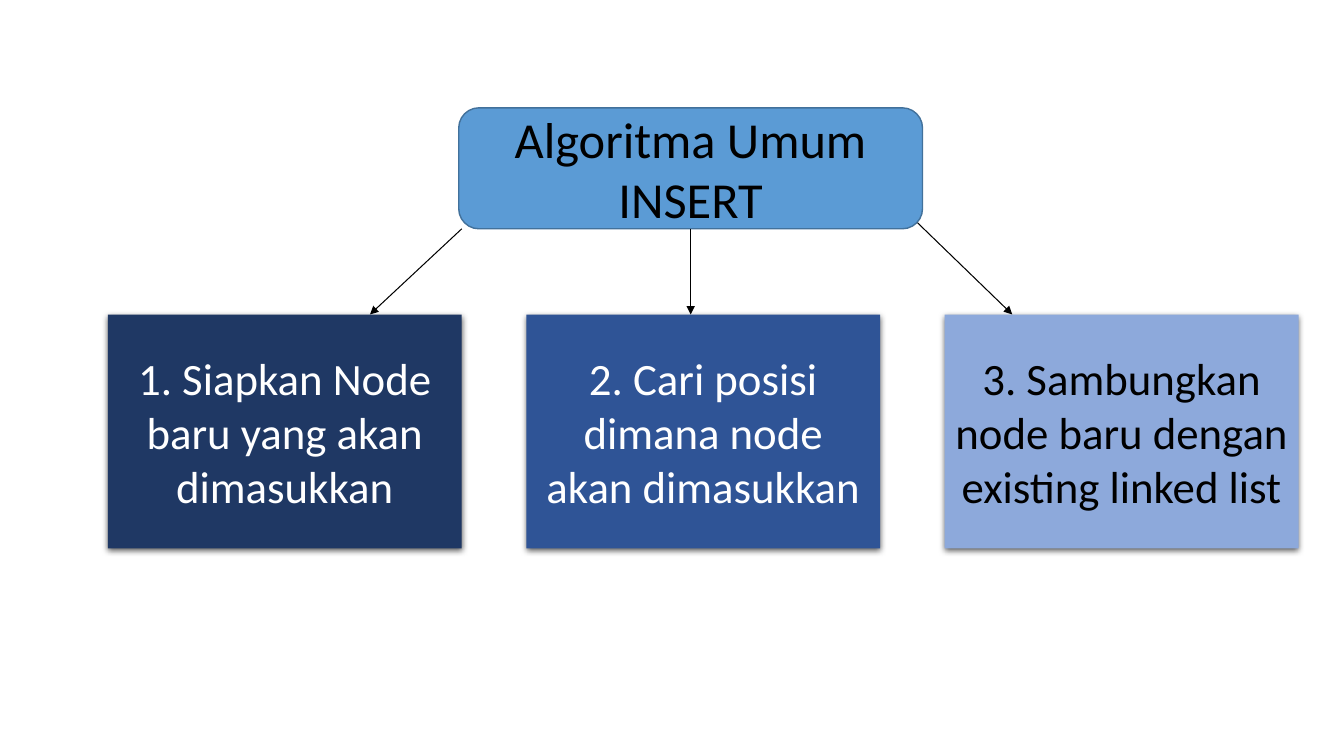
from lxml.etree import SubElement
from pptx import Presentation
from pptx.dml.color import RGBColor
from pptx.enum.shapes import MSO_CONNECTOR, MSO_SHAPE
from pptx.enum.text import MSO_ANCHOR, PP_ALIGN
from pptx.oxml.ns import qn
from pptx.util import Inches, Pt

NAVY = RGBColor(0x1F, 0x38, 0x64)
BLUE = RGBColor(0x2F, 0x54, 0x96)
PALE_BLUE = RGBColor(0x8D, 0xA9, 0xDB)
SKY = RGBColor(0x5B, 0x9B, 0xD5)
SKY_EDGE = RGBColor(0x42, 0x71, 0x9B)
WHITE = RGBColor(0xFF, 0xFF, 0xFF)
BLACK = RGBColor(0, 0, 0)

# Step row grid, in inches
STEP_LEFT, STEP_TOP = 1.07, 3.12
STEP_W, STEP_H = 3.51, 2.32
STEP_PITCH = 4.15

# Header box, in inches
HEAD_LEFT, HEAD_TOP = 4.55, 1.07
HEAD_W, HEAD_H = 4.6, 1.2
HEAD_BOTTOM = HEAD_TOP + HEAD_H
HEAD_MID = HEAD_LEFT + HEAD_W / 2

STEPS = [
    ("1. Siapkan Node baru yang akan dimasukkan", NAVY, WHITE),
    ("2. Cari posisi dimana node akan dimasukkan", BLUE, WHITE),
    ("3. Sambungkan node baru dengan existing linked list", PALE_BLUE, BLACK),
]


def add_box(s, kind, box, text, size, fill, color):
    sp = s.shapes.add_shape(kind, *(Inches(v) for v in box))
    sp.shadow.inherit = False
    sp.fill.solid()
    sp.fill.fore_color.rgb = fill
    tf = sp.text_frame
    tf.word_wrap = True
    tf.vertical_anchor = MSO_ANCHOR.MIDDLE
    p = tf.paragraphs[0]
    p.text = text
    p.alignment = PP_ALIGN.CENTER
    p.font.name = "Calibri"
    p.font.size = Pt(size)
    p.font.color.rgb = color
    return sp


def add_drop_shadow(sp):
    effects = sp._element.spPr.find(qn("a:effectLst"))
    shadow = SubElement(effects, qn("a:outerShdw"), blurRad=str(Pt(4.5)),
                        dist=str(Pt(1.5)), dir="5400000", algn="ctr", rotWithShape="0")
    color = SubElement(shadow, qn("a:srgbClr"), val=str(BLACK))
    SubElement(color, qn("a:alpha"), val="63000")


def add_step(s, column, text, fill, color):
    box = (STEP_LEFT + column * STEP_PITCH, STEP_TOP, STEP_W, STEP_H)
    sp = add_box(s, MSO_SHAPE.RECTANGLE, box, text, 32, fill, color)
    sp.line.fill.background()
    add_drop_shadow(sp)


def add_arrow(s, x1, y1, x2, y2):
    arrow = s.shapes.add_connector(MSO_CONNECTOR.STRAIGHT,
                                   *(Inches(v) for v in (x1, y1, x2, y2)))
    arrow.line.color.rgb = BLACK
    arrow.line.width = Pt(0.75)
    SubElement(arrow.line._get_or_add_ln(), qn("a:tailEnd"), type="triangle")
    SubElement(arrow._element.spPr, qn("a:effectLst"))
    return arrow


def main():
    prs = Presentation()
    prs.slide_width, prs.slide_height = Inches(13.33), Inches(7.5)
    s = prs.slides.add_slide(prs.slide_layouts[6])

    # Three steps
    for column, step in enumerate(STEPS):
        add_step(s, column, *step)

    # Header
    header = add_box(s, MSO_SHAPE.FLOWCHART_ALTERNATE_PROCESS,
                     (HEAD_LEFT, HEAD_TOP, HEAD_W, HEAD_H),
                     "Algoritma Umum INSERT", 36, SKY, BLACK)
    header.line.color.rgb = SKY_EDGE
    header.line.width = Pt(1)

    # Arrows from the header to the steps
    add_arrow(s, 4.58, HEAD_BOTTOM, 3.67, STEP_TOP)
    middle = add_arrow(s, HEAD_MID, HEAD_BOTTOM, HEAD_MID, STEP_TOP)
    middle.begin_connect(header, 2)
    add_arrow(s, 9.1, 2.21, 10.04, STEP_TOP)

    prs.save("out.pptx")


if __name__ == "__main__":
    main()
